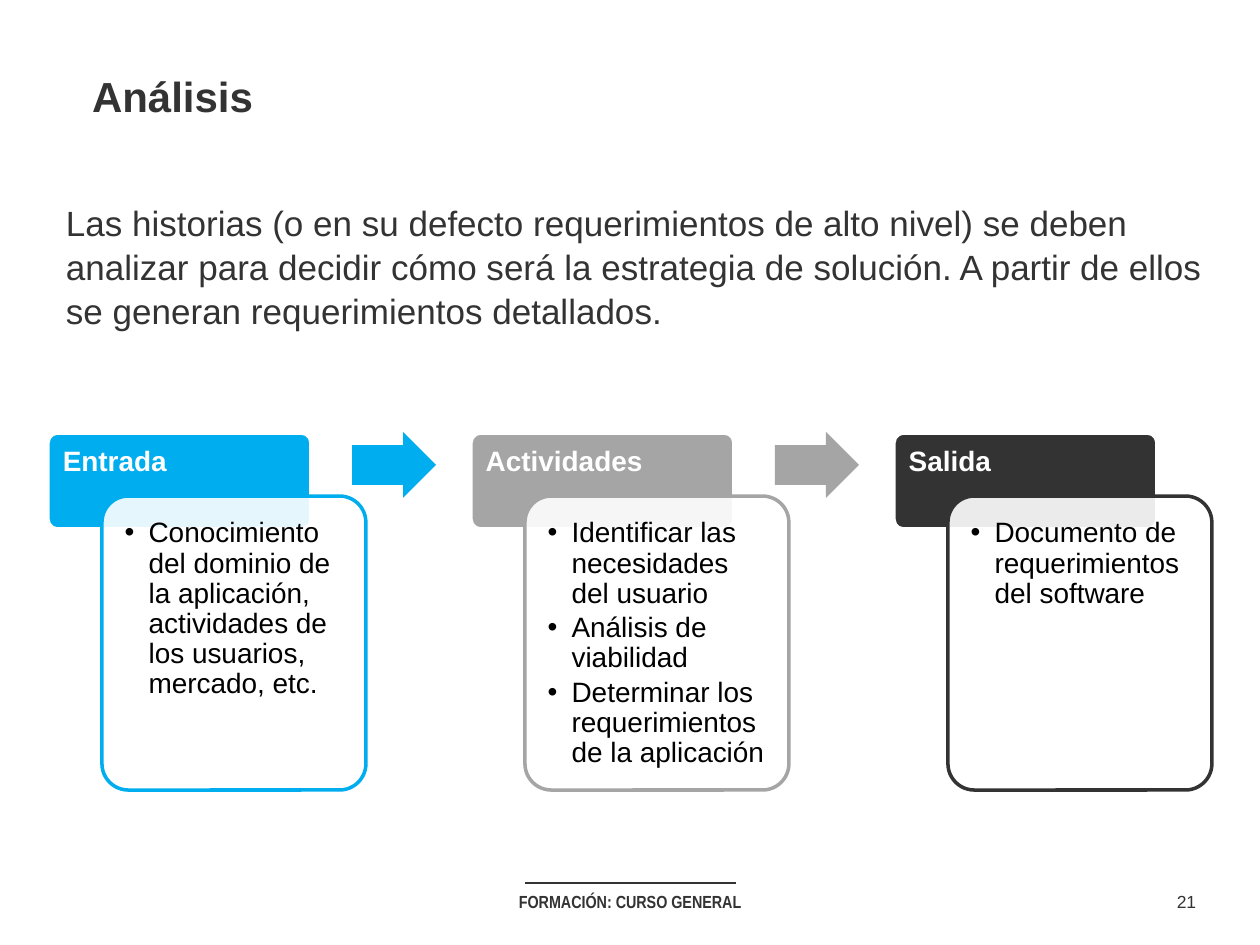
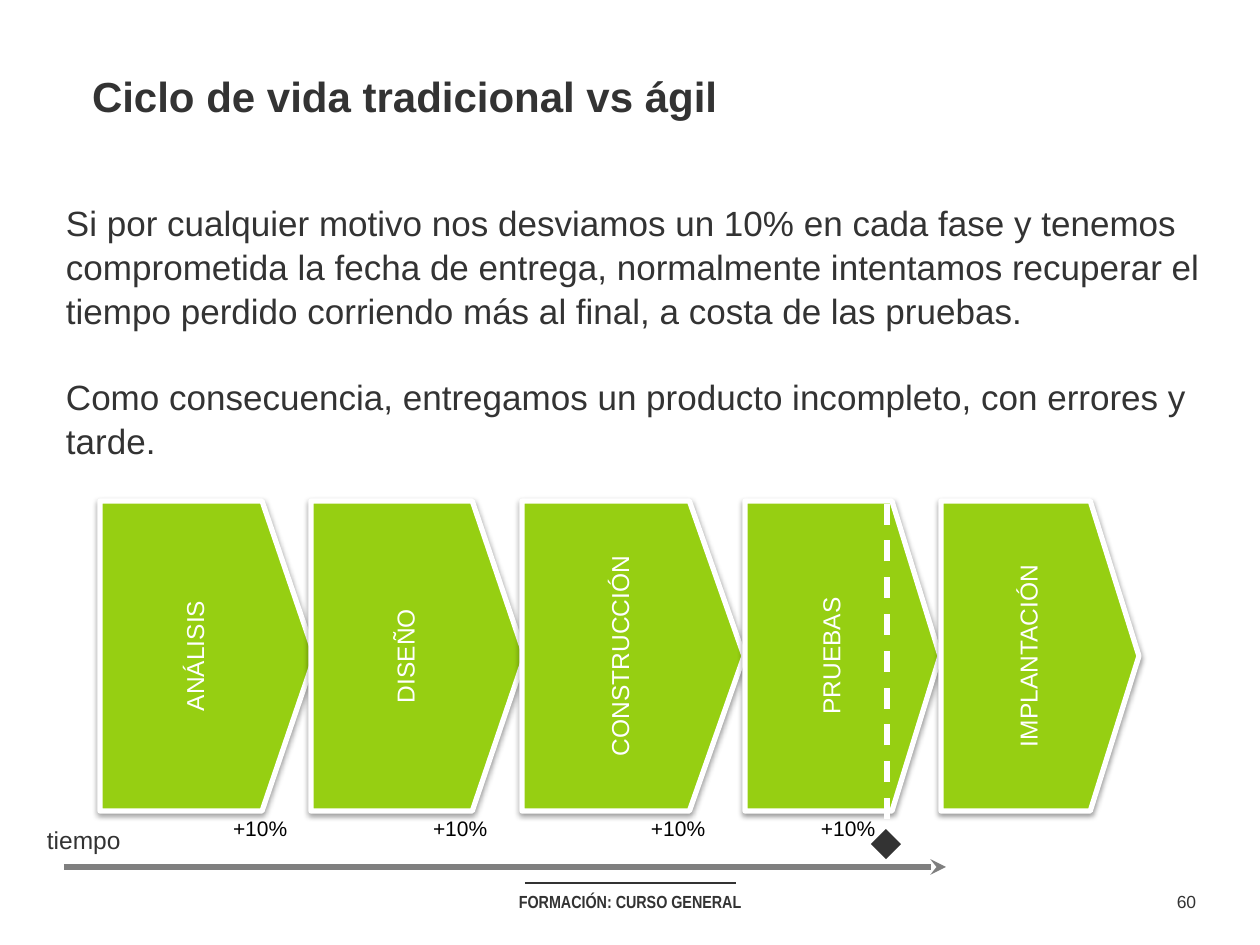
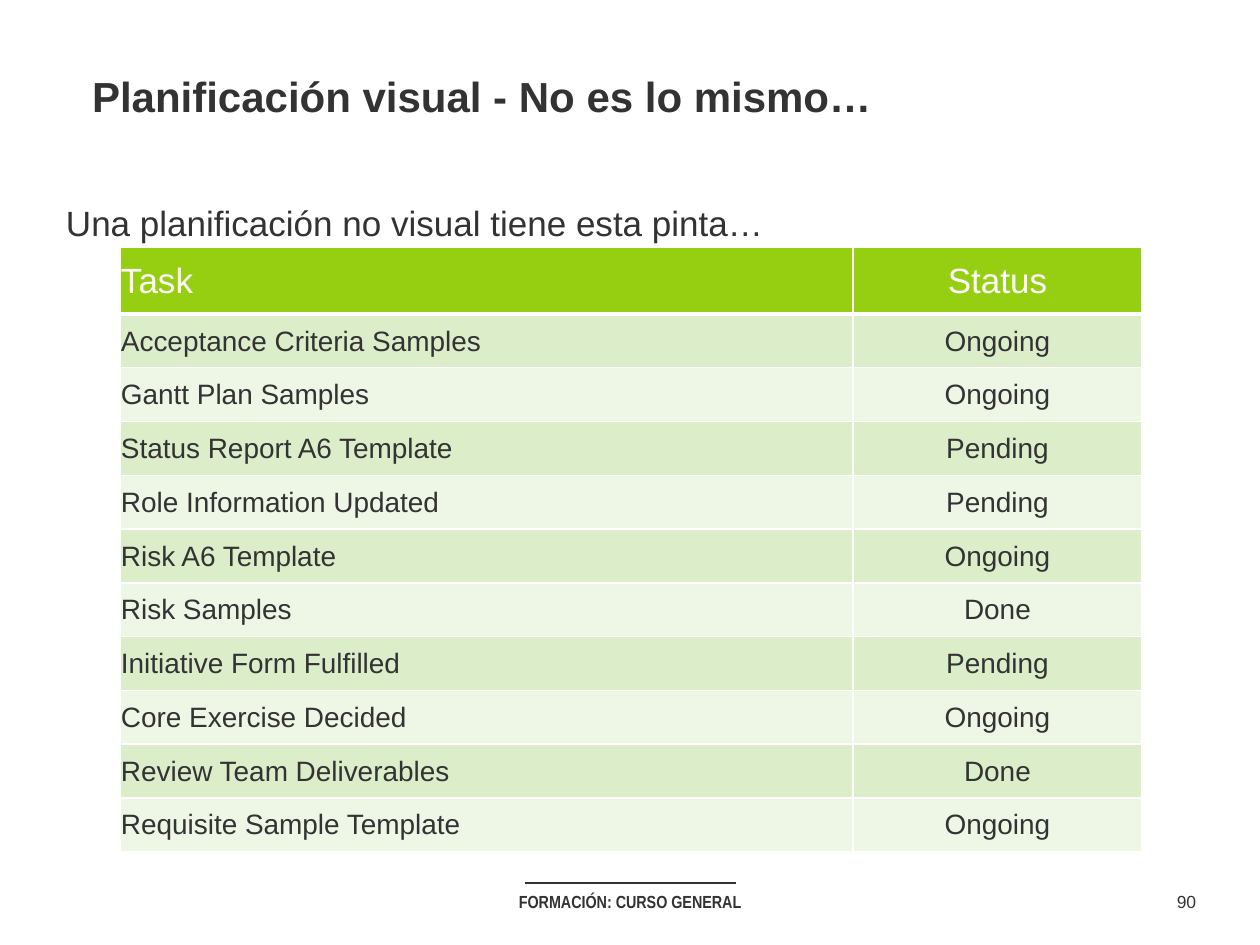
"""Build three training slides: analysis flow, life cycle and a task table."""
from lxml.etree import SubElement
from pptx import Presentation
from pptx.dml.color import RGBColor
from pptx.enum.dml import MSO_LINE
from pptx.enum.shapes import MSO_CONNECTOR, MSO_SHAPE as SHAPE
from pptx.enum.text import MSO_ANCHOR as ANCHOR, MSO_AUTO_SIZE as AUTO, PP_ALIGN as ALIGN
from pptx.oxml.ns import qn
from pptx.util import Emu, Pt

DARK = RGBColor(0x33, 0x33, 0x33)
BLACK = RGBColor(0, 0, 0)
WHITE = RGBColor(0xFF, 0xFF, 0xFF)
BLUE = RGBColor(0x00, 0xAD, 0xEF)
SILVER = RGBColor(0xA5, 0xA5, 0xA5)
GREY = RGBColor(0x7F, 0x7F, 0x7F)
GREEN = RGBColor(0x96, 0xCF, 0x12)
BAND = (RGBColor(0xDC, 0xED, 0xCA), RGBColor(0xEE, 0xF6, 0xE6))

FOOTER = "FORMACIÓN: CURSO GENERAL"
ANALYSIS = {
    "number": 21,
    "title": "Análisis",
    "body": ["Las historias (o en su defecto requerimientos de alto nivel) se deben analizar para "
             "decidir cómo será la estrategia de solución. A partir de ellos se generan "
             "requerimientos detallados."],
}
STAGES = [
    ("Entrada", BLUE, ["Conocimiento del dominio de la aplicación, actividades de los usuarios, "
                       "mercado, etc."]),
    ("Actividades", SILVER, ["Identificar las necesidades del usuario", "Análisis de viabilidad",
                             "Determinar los requerimientos de la aplicación"]),
    ("Salida", DARK, ["Documento de requerimientos del software"]),
]
LIFE_CYCLE = {
    "number": 60,
    "title": "Ciclo de vida tradicional vs ágil",
    "body": ["Si por cualquier motivo nos desviamos un 10% en cada fase y tenemos comprometida la "
             "fecha de entrega, normalmente intentamos recuperar el tiempo perdido corriendo más "
             "al final, a costa de las pruebas.",
             "Como consecuencia, entregamos un producto incompleto, con errores y tarde."],
}
PHASES = [("ANÁLISIS", 100, 215), ("DISEÑO", 311, 214), ("CONSTRUCCIÓN", 522, 222),
          ("PRUEBAS", 745, 195), ("IMPLANTACIÓN", 941, 198)]
DELAY, DELAY_LEFTS = "+10%", (220, 420, 638, 808)
PLANNING = {
    "number": 90,
    "title": "Planificación visual - No es lo mismo…",
    "body": ["Una planificación no visual tiene esta pinta…"],
}
TASKS = [
    ("Task", "Status"),
    ("Acceptance Criteria Samples", "Ongoing"),
    ("Gantt Plan Samples", "Ongoing"),
    ("Status Report A6 Template", "Pending"),
    ("Role Information Updated", "Pending"),
    ("Risk A6 Template", "Ongoing"),
    ("Risk Samples", "Done"),
    ("Initiative Form Fulfilled", "Pending"),
    ("Core Exercise Decided", "Ongoing"),
    ("Review Team Deliverables", "Done"),
    ("Requisite Sample Template", "Ongoing"),
]


def px(n):
    return Emu(round(n * 914400 / 126))


def place(sp, *box):
    sp.left, sp.top, sp.width, sp.height = map(px, box)


def write(tf, lines, size, color, bold=False, font="Arial", align=ALIGN.LEFT,
          anchor=ANCHOR.TOP, insets=(13, 6, 13, 6), wrap=True, spacing=1.0, gap=0, bullet=False):
    tf.auto_size = AUTO.NONE
    tf.word_wrap = wrap
    tf.vertical_anchor = anchor
    tf.margin_left, tf.margin_top, tf.margin_right, tf.margin_bottom = map(px, insets)
    for i, line in enumerate(lines):
        p = tf.add_paragraph() if i else tf.paragraphs[0]
        p.text = line
        pPr = p._p.get_or_add_pPr()
        indent = px(24) if bullet else 0
        pPr.set("marL", str(indent))
        pPr.set("indent", str(-indent))
        if bullet:
            SubElement(pPr, qn("a:buFont"), typeface="Arial")
            SubElement(pPr, qn("a:buChar"), char="•")
        else:
            SubElement(pPr, qn("a:buNone"))
        p.alignment, p.line_spacing = align, spacing
        p.space_before = Pt(gap if i else 0)
        for r in p.runs:
            r.font.size, r.font.name, r.font.bold = Pt(size), font, bold
            r.font.color.rgb = color


def add_label(slide, text, box, size, color, **style):
    tb = slide.shapes.add_textbox(*map(px, box))
    write(tb.text_frame, [text], size, color, wrap=False, **style)


def add_box(slide, kind, box, fill, line=None, width=2, adjust=()):
    sp = slide.shapes.add_shape(kind, *map(px, box))
    for i, value in enumerate(adjust):
        sp.adjustments[i] = value
    sp.fill.solid()
    sp.fill.fore_color.rgb = fill
    if line is None:
        sp.line.fill.background()
    else:
        sp.line.color.rgb, sp.line.width = line, Pt(width)
    sp.shadow.inherit = False
    return sp


def add_line(slide, ends, color, width):
    line = slide.shapes.add_connector(MSO_CONNECTOR.STRAIGHT, *map(px, ends))
    line.line.color.rgb, line.line.width = color, Pt(width)
    SubElement(line.element.spPr, qn("a:effectLst"))
    return line


def add_slide(prs, content):
    slide = prs.slides.add_slide(prs.slide_layouts[1])
    title, body = slide.placeholders
    place(title, 79, 57, 1103, 77)
    write(title.text_frame, [content["title"]], 24, DARK, bold=True, anchor=ANCHOR.BOTTOM,
          insets=(13, 13, 13, 13))
    place(body, 53, 193, 1173, 14 + 42 * (3 * len(content["body"]) - 2))
    write(body.text_frame, content["body"], 20, DARK, spacing=1.05, gap=24)
    add_line(slide, (525, 883, 736, 883), DARK, 0.75)
    add_label(slide, FOOTER, (462, 885, 336, 34), 10, DARK, bold=True, font="Arial Narrow",
              align=ALIGN.CENTER)
    add_label(slide, str(content["number"]), (1163, 885, 47, 34), 10, DARK, align=ALIGN.CENTER)
    return slide


def add_stages(slide):
    for i, (name, color, items) in enumerate(STAGES):
        left = 48 + 423 * i
        tab = add_box(slide, SHAPE.ROUNDED_RECTANGLE, (left, 433, 263, 96), color, WHITE,
                      adjust=[0.1])
        write(tab.text_frame, [name], 16, WHITE, bold=True, insets=(12, 12, 12, 9), spacing=0.9)
        card = add_box(slide, SHAPE.ROUNDED_RECTANGLE, (left + 54, 496, 264, 294), WHITE, color,
                       adjust=[0.1])
        white = card.element.spPr.find(qn("a:solidFill"))[0]
        SubElement(white, qn("a:alpha"), val="90000")
        write(card.text_frame, items, 16, BLACK, insets=(15, 15, 15, 15), spacing=0.9, gap=2.4,
              bullet=True)
        if i < len(STAGES) - 1:
            add_box(slide, SHAPE.RIGHT_ARROW, (left + 304, 432, 84, 66), color, adjust=[0.6, 0.5])


def add_phases(slide):
    for name, left, width in PHASES:
        sp = add_box(slide, SHAPE.PENTAGON, (left, 501, width, 310), GREEN, WHITE, 3, [0.246])
        effects = sp.element.spPr.find(qn("a:effectLst"))
        shadow = SubElement(effects, qn("a:outerShdw"), blurRad="40000", dist="20000",
                            dir="5400000", rotWithShape="0")
        black = SubElement(shadow, qn("a:srgbClr"), val="000000")
        SubElement(black, qn("a:alpha"), val="38000")
        write(sp.text_frame, [name], 14, WHITE, align=ALIGN.CENTER, anchor=ANCHOR.MIDDLE)
        sp.text_frame._txBody.bodyPr.set("vert", "vert270")

    timeline = add_line(slide, (64, 867, 946, 867), GREY, 3)
    SubElement(timeline.line._get_or_add_ln(), qn("a:tailEnd"), type="stealth")
    add_box(slide, SHAPE.DIAMOND, (871, 829, 30, 30), DARK)
    deadline = add_line(slide, (887, 819, 887, 491), WHITE, 3)
    deadline.line.dash_style = MSO_LINE.DASH
    for left in DELAY_LEFTS:
        add_label(slide, DELAY, (left, 810, 79, 38), 12, BLACK)
    add_label(slide, "tiempo", (34, 819, 100, 43), 14, DARK)


def add_borders(cell, bottom):
    tcPr = cell._tc.get_or_add_tcPr()
    for side, width in (("lnL", 1), ("lnR", 1), ("lnT", 1), ("lnB", bottom)):
        ln = SubElement(tcPr, qn(f"a:{side}"), w=str(Pt(width)))
        fill = SubElement(ln, qn("a:solidFill"))
        SubElement(fill, qn("a:srgbClr"), val=str(WHITE))


def add_tasks(slide):
    head_h, rows_h, widths = 67, 538, (733, 289)
    frame = slide.shapes.add_table(len(TASKS), len(widths), px(120), px(247),
                                   px(sum(widths)), px(head_h + rows_h))
    table = frame.table
    for column, width in zip(table.columns, widths):
        column.width = px(width)
    for i, row in enumerate(TASKS):
        head = i == 0
        table.rows[i].height = px(head_h if head else rows_h / (len(TASKS) - 1))
        for j, text in enumerate(row):
            cell = table.cell(i, j)
            add_borders(cell, 3 if head else 1)
            cell.fill.solid()
            cell.fill.fore_color.rgb = GREEN if head else BAND[(i - 1) % 2]
            write(cell.text_frame, [text], 20 if head else 16, WHITE if head else DARK,
                  align=ALIGN.CENTER if j else ALIGN.LEFT)
            cell.vertical_anchor = ANCHOR.MIDDLE
            cell.margin_left = cell.margin_top = cell.margin_right = px(1)
            cell.margin_bottom = 0


def main():
    prs = Presentation()
    prs.slide_width, prs.slide_height = px(1260), px(945)
    add_stages(add_slide(prs, ANALYSIS))
    add_phases(add_slide(prs, LIFE_CYCLE))
    add_tasks(add_slide(prs, PLANNING))
    prs.save("out.pptx")


if __name__ == "__main__":
    main()
